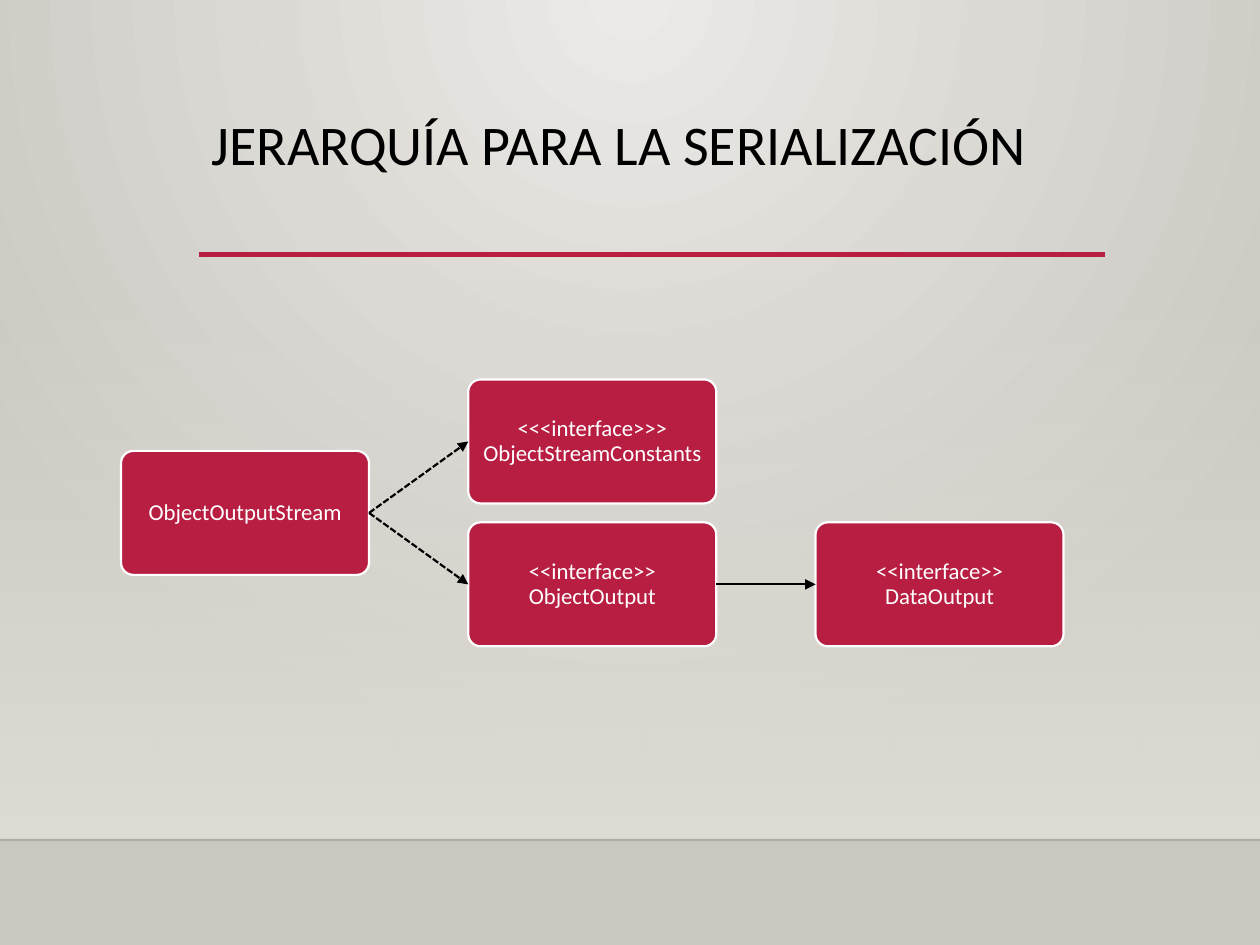
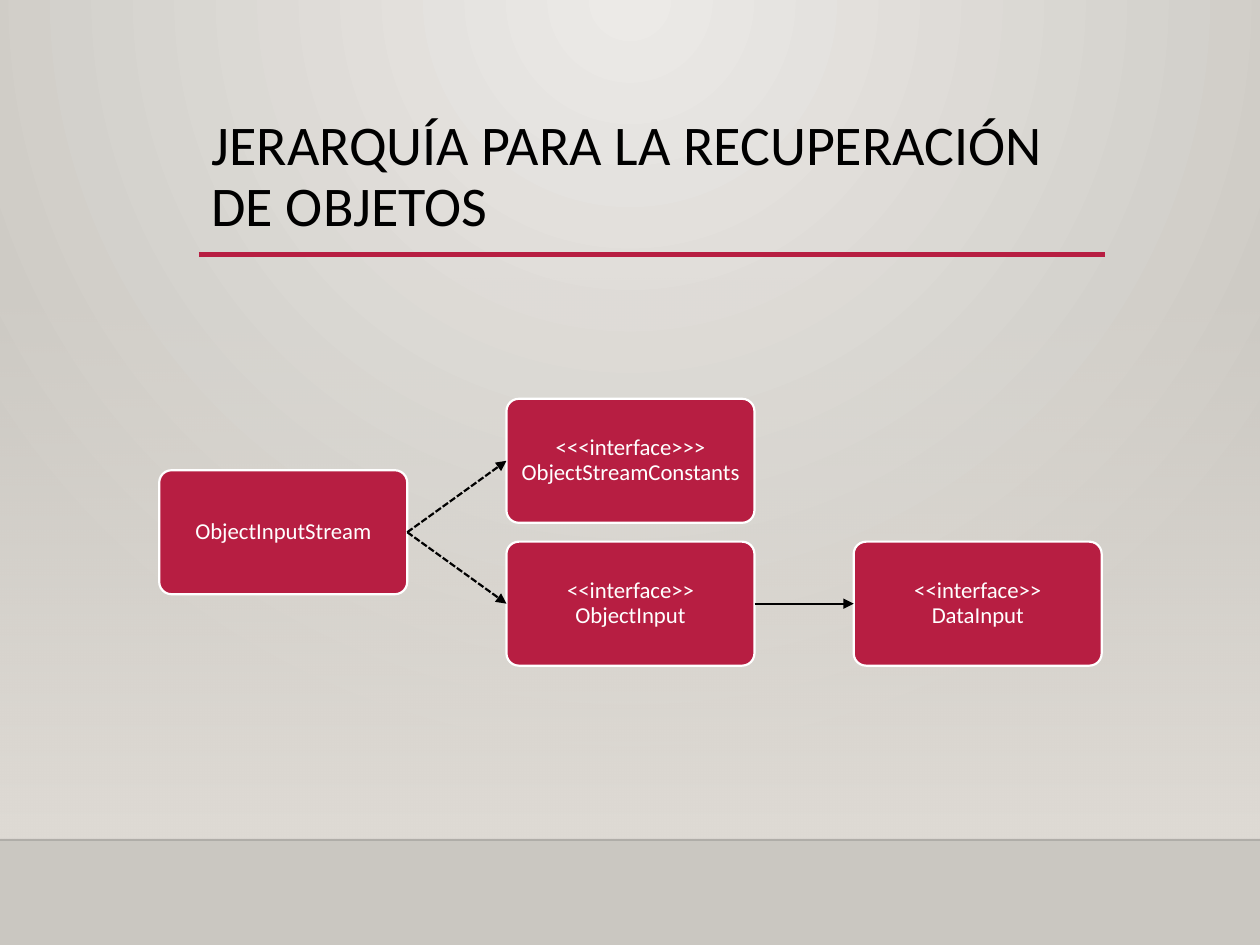
from pptx import Presentation
from pptx.dml.color import RGBColor
from pptx.enum.dml import MSO_LINE
from pptx.enum.shapes import MSO_CONNECTOR, MSO_SHAPE
from pptx.enum.text import MSO_ANCHOR, MSO_AUTO_SIZE, PP_ALIGN
from pptx.oxml import parse_xml
from pptx.oxml.ns import nsdecls, qn
from pptx.util import Cm, Pt

DASHED = MSO_LINE.SQUARE_DOT
STRAIGHT = MSO_CONNECTOR.STRAIGHT
RECTANGLE = MSO_SHAPE.RECTANGLE
ROUNDED = MSO_SHAPE.ROUNDED_RECTANGLE
TOP, MIDDLE = MSO_ANCHOR.TOP, MSO_ANCHOR.MIDDLE
NO_FIT = MSO_AUTO_SIZE.NONE
LEFT, CENTER = PP_ALIGN.LEFT, PP_ALIGN.CENTER

BLACK = RGBColor(0x00, 0x00, 0x00)
WHITE = RGBColor(0xFF, 0xFF, 0xFF)
CRIMSON = RGBColor(0xB7, 0x1E, 0x42)
GLOW = RGBColor(0xEC, 0xEA, 0xE7)
STONE = RGBColor(0xCA, 0xC7, 0xC1)
SAND = RGBColor(0xDF, 0xDB, 0xD5)

FONT = "Calibri"
TITLE_ONLY = 5
LEFT_SIDE, RIGHT_SIDE = 1, 3
PAGE_WIDTH, PAGE_HEIGHT = 25.4, 19.05
HORIZON = 16.93
BAND_TOP = 5.59
RULE_LEFT, RULE_WIDTH, RULE_Y = 4.01, 18.26, 5.13
TITLE_TOP, TITLE_HEIGHT = 2.24, 2.92
BOX_WIDTH, BOX_HEIGHT = 5, 2.5
COLUMN_STEP, ROW_STEP = 7, 2.88
WIDE_GAP = 6

RADIAL = '<a:path path="circle"><a:fillToRect l="43000" r="43000" b="100000"/></a:path>'
DOWNWARD = '<a:lin ang="5400000" scaled="0"/>'


def put_gradient(holder, start, end, direction, start_alpha=100):
    gradient = parse_xml(
        f'<a:gradFill {nsdecls("a")} rotWithShape="1"><a:gsLst>'
        f'<a:gs pos="0"><a:srgbClr val="{start}"><a:alpha val="{start_alpha * 1000}"/></a:srgbClr></a:gs>'
        f'<a:gs pos="100000"><a:srgbClr val="{end}"/></a:gs>'
        f'</a:gsLst>{direction}</a:gradFill>')
    holder.replace(holder.find(qn("a:solidFill")), gradient)


class HierarchyDeck:
    def __init__(self):
        self.deck = Presentation()
        self.deck.slide_width = Cm(PAGE_WIDTH)
        self.deck.slide_height = Cm(PAGE_HEIGHT)
        self.page = None
        master = self.deck.slide_master
        master.background.fill.solid()
        put_gradient(master.element.find(".//" + qn("p:bgPr")), GLOW, STONE, RADIAL)

    def start_page(self, heading):
        self.page = self.deck.slides.add_slide(self.deck.slide_layouts[TITLE_ONLY])
        self.band()
        horizon = self.line(0, HORIZON, PAGE_WIDTH, HORIZON, BLACK, 1)
        color = horizon.element.find(".//" + qn("a:srgbClr"))
        color.append(parse_xml(f'<a:alpha {nsdecls("a")} val="20000"/>'))
        self.line(RULE_LEFT, RULE_Y, RULE_LEFT + RULE_WIDTH, RULE_Y, CRIMSON, 2.5)
        self.title(heading)

    def title(self, heading):
        title = self.page.shapes.title
        title.left, title.top = Cm(RULE_LEFT), Cm(TITLE_TOP)
        title.width, title.height = Cm(RULE_WIDTH), Cm(TITLE_HEIGHT)
        frame = title.text_frame
        frame.text = heading
        frame.auto_size = NO_FIT
        frame.vertical_anchor = TOP
        self.style(frame.paragraphs[0], 32, BLACK, LEFT)
        title.element.getparent().append(title.element)

    def style(self, para, size, color, alignment):
        para.alignment = alignment
        para.line_spacing = 0.9
        para.font.name = FONT
        para.font.size = Pt(size)
        para.font.color.rgb = color

    def band(self):
        band = self.page.shapes.add_shape(
            RECTANGLE, 0, Cm(BAND_TOP), Cm(PAGE_WIDTH), Cm(HORIZON - BAND_TOP))
        band.shadow.inherit = False
        band.line.fill.background()
        band.fill.solid()
        put_gradient(band.element.spPr, SAND, SAND, DOWNWARD, start_alpha=0)

    def line(self, x1, y1, x2, y2, color, width):
        line = self.page.shapes.add_connector(STRAIGHT, Cm(x1), Cm(y1), Cm(x2), Cm(y2))
        line.line.color.rgb = color
        line.line.width = Pt(width)
        line.element.spPr.append(parse_xml(f'<a:effectLst {nsdecls("a")}/>'))
        return line

    def box(self, left, top, label, gap=0):
        box = self.page.shapes.add_shape(
            ROUNDED, Cm(left), Cm(top), Cm(BOX_WIDTH), Cm(BOX_HEIGHT))
        box.adjustments[0] = 0.1
        box.shadow.inherit = False
        box.fill.solid()
        box.fill.fore_color.rgb = CRIMSON
        box.line.color.rgb = WHITE
        box.line.width = Pt(1.25)
        frame = box.text_frame
        frame.word_wrap = True
        frame.vertical_anchor = MIDDLE
        frame.margin_left = frame.margin_right = Cm(0.1)
        frame.margin_top = frame.margin_bottom = Cm(0.1)
        para = frame.paragraphs[0]
        for part in label.partition(" ") if gap else [label]:
            span = para.add_run()
            span.text = part
            if part == " ":
                span.font._element.set("spc", str(gap * 100))
        self.style(para, 13, WHITE, CENTER)
        return box

    def arrow(self, source, target, dashed=False):
        arrow = self.line(0, 0, 1, 1, BLACK, 1.25)
        arrow.begin_connect(source, RIGHT_SIDE)
        arrow.end_connect(target, LEFT_SIDE)
        if dashed:
            arrow.line.dash_style = DASHED
        outline = arrow.element.spPr.find(qn("a:ln"))
        outline.append(parse_xml(f'<a:tailEnd {nsdecls("a")} type="triangle"/>'))

    def hierarchy(self, left, top, stream, interface, parent, parent_gap=0):
        middle, right = left + COLUMN_STEP, left + 2 * COLUMN_STEP
        lower = top + ROW_STEP
        stream_box = self.box(left, top + ROW_STEP / 2, stream)
        constants_box = self.box(middle, top, "<<<interface>>> ObjectStreamConstants")
        interface_box = self.box(middle, lower, f"<<interface>> {interface}")
        parent_box = self.box(right, lower, f"<<interface>> {parent}", parent_gap)
        self.arrow(stream_box, constants_box, dashed=True)
        self.arrow(stream_box, interface_box, dashed=True)
        self.arrow(interface_box, parent_box)


def main():
    slides = HierarchyDeck()
    slides.start_page("JERARQUÍA PARA LA SERIALIZACIÓN")
    slides.hierarchy(2.44, 7.65, "ObjectOutputStream", "ObjectOutput", "DataOutput")
    slides.start_page("JERARQUÍA PARA LA RECUPERACIÓN DE OBJETOS")
    slides.hierarchy(3.21, 8.04, "ObjectInputStream", "ObjectInput", "DataInput", WIDE_GAP)
    slides.deck.save("out.pptx")


if __name__ == "__main__":
    main()
